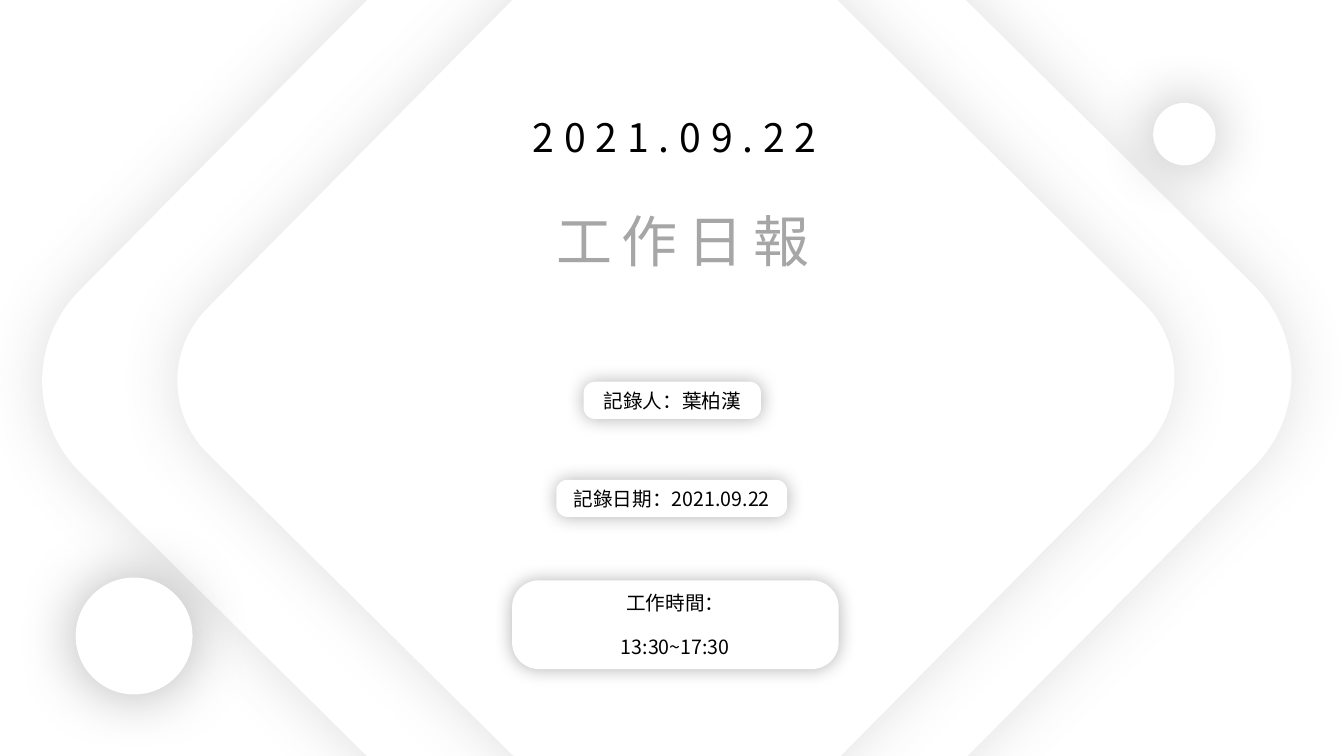
"""Build the cover slide of a daily work report."""
from lxml import etree
from pptx import Presentation
from pptx.dml.color import RGBColor
from pptx.enum import shapes, text
from pptx.oxml.ns import qn
from pptx.util import Pt

FACE = "Noto Sans CJK SC"
WHITE = RGBColor(255, 255, 255)
BLACK = RGBColor(0, 0, 0)
GREY = RGBColor(166, 166, 166)
SMOKE = RGBColor(89, 89, 89)
ROUND = shapes.MSO_SHAPE.ROUNDED_RECTANGLE
OVAL = shapes.MSO_SHAPE.OVAL

DATE = ("2021.09.22", (191.5, 77.5, 581, 41))
TITLE = ("工作日報", (316.8, 143.7, 342, 55.4))
SQUARES = [(476.3, 270.4, 684.7), (482.8, 270.4, 546.5)]
DISCS = [(95.8, 454.3, 83.5), (846, 95.8, 44.6)]
PILLS = [
    (["記錄人：葉柏漢"], (416.9, 272.7, 126.7, 26.6)),
    (["記錄日期：2021.09.22"], (397.4, 342.7, 164.9, 26.6)),
    (["工作時間：", "13:30~17:30"], (365.8, 414.5, 233.3, 63.4)),
]


def glow(shape, color, alpha, blur):
    """Give a shape a soft even shadow."""
    shape.shadow.inherit = False
    effects = shape._element.spPr.find(qn("a:effectLst"))
    shade = etree.SubElement(effects, qn("a:outerShdw"), blurRad=str(Pt(blur)),
                             dist="0", dir="0", algn="ctr", rotWithShape="0")
    tint = etree.SubElement(shade, qn("a:srgbClr"), val=str(color))
    etree.SubElement(tint, qn("a:alpha"), val=str(alpha * 1000))


def panel(slide, kind, box, color, alpha, blur):
    """Add a white shape with a glow."""
    shape = slide.shapes.add_shape(kind, *map(Pt, box))
    shape.fill.solid()
    shape.fill.fore_color.rgb = WHITE
    shape.line.fill.background()
    glow(shape, color, alpha, blur)
    return shape


def write(shape, lines, size, color=BLACK, track=0):
    """Fill a shape with centred lines."""
    frame = shape.text_frame
    frame.auto_size = text.MSO_AUTO_SIZE.NONE
    frame.word_wrap = True
    frame.vertical_anchor = text.MSO_ANCHOR.MIDDLE
    frame.margin_left = frame.margin_right = 0
    frame.margin_top = frame.margin_bottom = 0
    frame.text = "\n".join(lines)
    for i, para in enumerate(frame.paragraphs):
        para.alignment = text.PP_ALIGN.CENTER
        para.space_before = Pt(14 if i else 0)
        font = para.font
        font.size, font.name = Pt(size), FACE
        font.color.rgb = color
        font._rPr.set("spc", str(track * 100))
        etree.SubElement(font._rPr, qn("a:ea"), typeface=FACE)


def main():
    """Lay out the slide and save it."""
    deck = Presentation()
    deck.slide_width, deck.slide_height = Pt(960), Pt(540)
    slide = deck.slides.add_slide(deck.slide_layouts[5])

    for x, y, side in SQUARES:
        box = (x - side / 2, y - side / 2, side, side)
        square = panel(slide, ROUND, box, SMOKE, 19, 43)
        square.adjustments[0] = 0.134
        square.rotation = 44.7

    words, box = DATE
    date = slide.shapes.add_textbox(*map(Pt, box))
    write(date, [words], 28, track=7)

    words, box = TITLE
    title = slide.shapes.title
    title.left, title.top, title.width, title.height = map(Pt, box)
    write(title, [words], 40, GREY, 7)
    slide.shapes._spTree.append(title._element)

    for x, y, side in DISCS:
        box = (x - side / 2, y - side / 2, side, side)
        panel(slide, OVAL, box, BLACK, 30, 43)

    for lines, box in PILLS:
        pill = panel(slide, ROUND, box, BLACK, 30, 13)
        pill.adjustments[0] = 0.302
        write(pill, lines, 14)

    deck.save("out.pptx")


if __name__ == "__main__":
    main()
